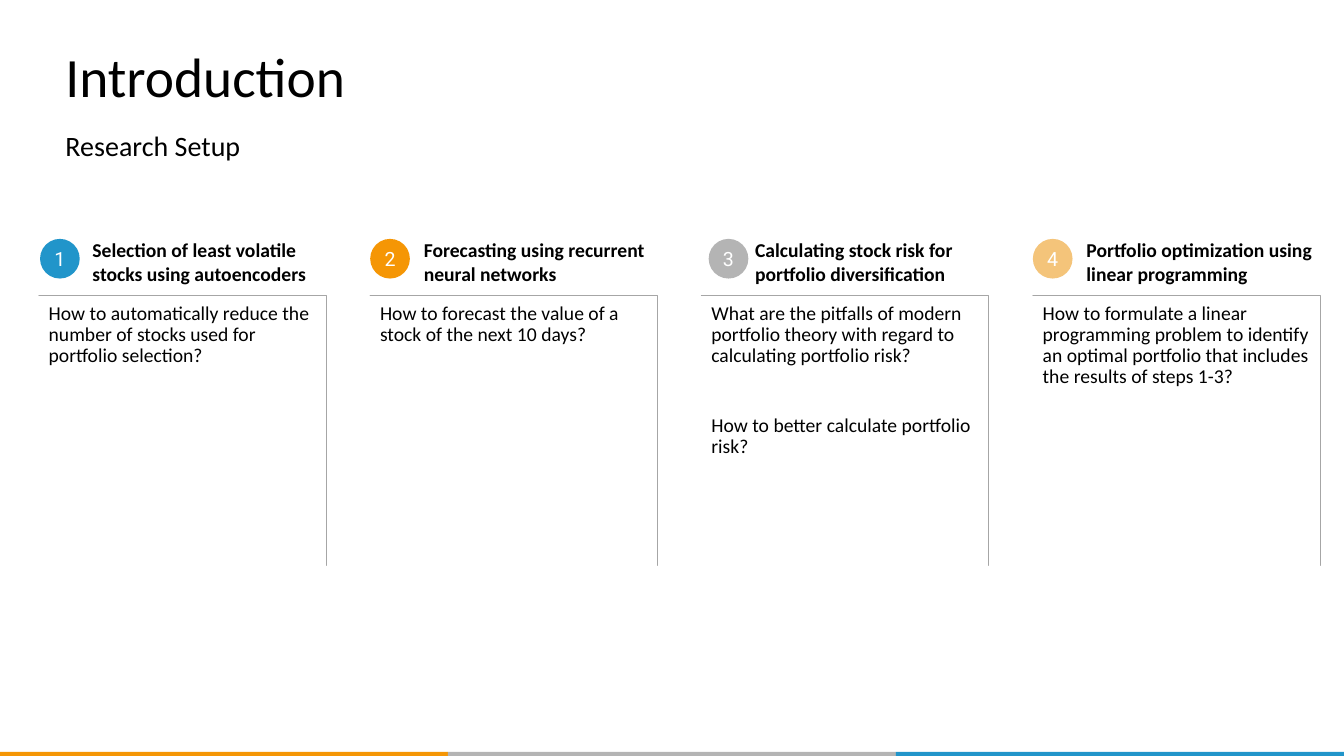
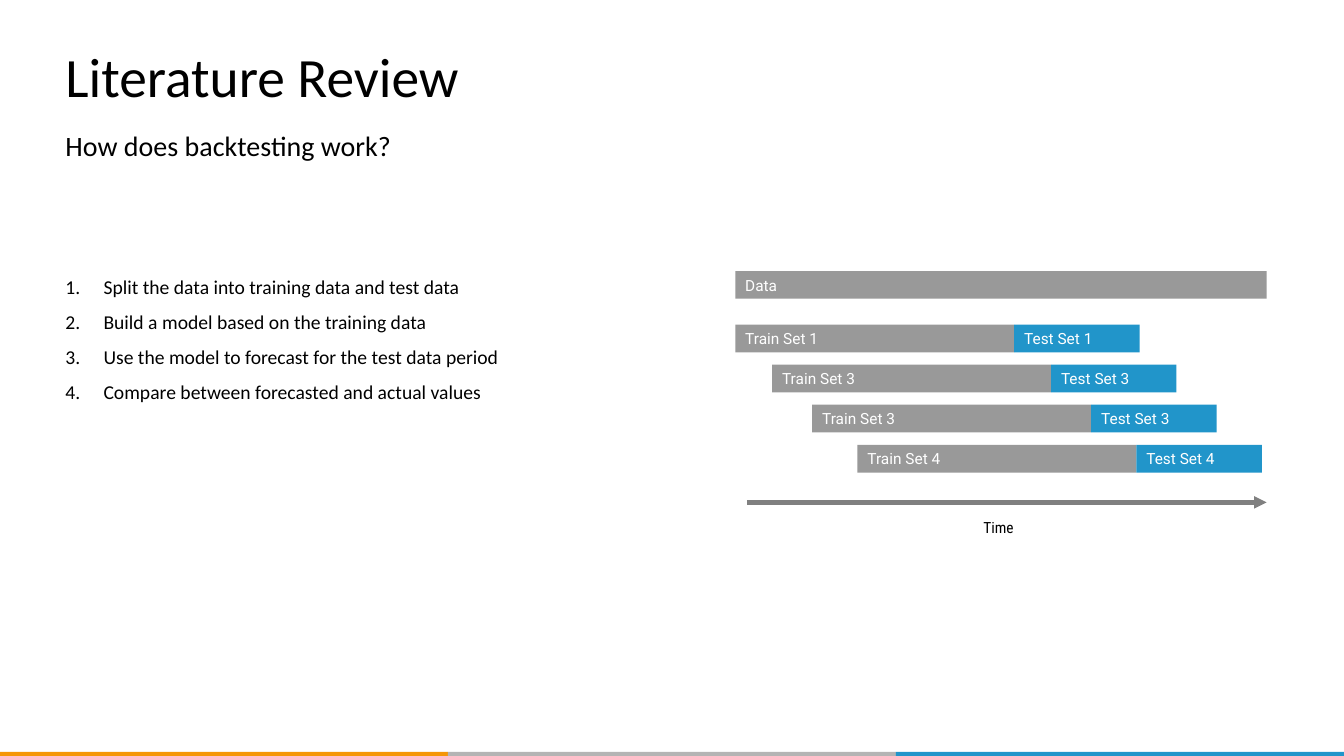
import pptx
import pptx.dml.color
import pptx.enum.shapes
import pptx.enum.text
import pptx.oxml.ns
import pptx.util
from lxml import etree

Cm, Pt = pptx.util.Cm, pptx.util.Pt
SHAPE = pptx.enum.shapes.MSO_SHAPE
ALIGN = pptx.enum.text.PP_ALIGN
ANCHOR = pptx.enum.text.MSO_ANCHOR
qn = pptx.oxml.ns.qn

PAGE_WIDTH, PAGE_HEIGHT = 33.87, 19.05
BLACK, WHITE = "000000", "FFFFFF"
BLUE, ORANGE, SILVER, SAND = "2195CA", "F59605", "B4B4B4", "F4C47A"
BAR_GREY, FRAME_GREY, ARROW_GREY = "999999", "A6A6A6", "808080"
BODY_FONT, LABEL_FONT, AXIS_FONT = "Calibri", "Roboto", "Roboto Condensed"

QUESTIONS = [
    ("Selection of least volatile stocks using autoencoders", BLUE, 0.03,
     ["How to automatically reduce the number of stocks used for portfolio selection?"]),
    ("Forecasting using recurrent neural networks", ORANGE, 0,
     ["How to forecast the value of a stock of the next 10 days?"]),
    ("Calculating stock risk for portfolio diversification", SILVER, 0.18,
     ["What are the pitfalls of modern portfolio theory with regard to calculating portfolio risk?",
      "How to better calculate portfolio risk?"]),
    ("Portfolio optimization using linear programming", SAND, 0,
     ["How to formulate a linear programming problem to identify an optimal portfolio "
      "that includes the results of steps 1-3?"]),
]
STEPS = [
    "Split the data into training data and test data",
    "Build a model based on the training data",
    "Use the model to forecast for the test data period",
    "Compare between forecasted and actual values",
]
# Shift along the time axis, train label, test label
SPLITS = [
    (0, "Train Set 1", "Test Set 1"),
    (0.93, "Train Set 3", "Test Set 3"),
    (1.94, "Train Set 3", "Test Set 3"),
    (3.08, "Train Set 4", "Test Set 4"),
]


def rgb(value):
    return pptx.dml.color.RGBColor.from_string(value)


def write(shape, lines, size, font=BODY_FONT, color=BLACK, bold=False, align=ALIGN.LEFT,
          anchor=ANCHOR.TOP, spacing=1.0, gap=0, margins=None, wrap=True):
    """Fill a shape with paragraphs; gap is the space in points between them."""
    frame = shape.text_frame
    frame.word_wrap = wrap
    frame.vertical_anchor = anchor
    if margins is not None:
        (frame.margin_left, frame.margin_top,
         frame.margin_right, frame.margin_bottom) = map(Cm, margins)
    for index, line in enumerate(lines):
        para = frame.add_paragraph() if index else frame.paragraphs[0]
        para.text = line
        para.alignment = align
        para.line_spacing = spacing
        para.space_before = Pt(gap if index else 0)
        para.font.name, para.font.size, para.font.bold = font, Pt(size), bold
        para.font.color.rgb = rgb(color)
    return frame


def add_text(page, left, top, width, height, lines, size, **style):
    box = page.shapes.add_textbox(Cm(left), Cm(top), Cm(width), Cm(height))
    return write(box, lines, size, **style)


def add_shape(page, kind, left, top, width, height, fill=None, line=None):
    shape = page.shapes.add_shape(kind, Cm(left), Cm(top), Cm(width), Cm(height))
    shape.shadow.inherit = False
    if fill:
        shape.fill.solid()
        shape.fill.fore_color.rgb = rgb(fill)
    else:
        shape.fill.background()
    if line:
        shape.line.color.rgb = rgb(line)
        shape.line.width = Pt(0.75)
    else:
        shape.line.fill.background()
    return shape


def add_page(deck, title, subtitle):
    """Add a slide with the shared heading and the three-colour foot band."""
    page = deck.slides.add_slide(deck.slide_layouts[6])
    third = PAGE_WIDTH / 3
    for index, color in enumerate((ORANGE, SILVER, BLUE)):
        add_shape(page, SHAPE.RECTANGLE, index * third, 18.95, third, 0.1, color)
    add_text(page, 1.4, 1.14, 31.09, 1.73, [title], 39.6, anchor=ANCHOR.MIDDLE, spacing=0.9)
    add_text(page, 1.4, 3.2, 31.09, 1.19, [subtitle], 20, spacing=0.9)
    return page


def add_question(page, left, top, width, number, heading, color, badge_shift, questions):
    frame = add_shape(page, SHAPE.HALF_FRAME, left, top + 1.42, width, 6.81, line=FRAME_GREY)
    frame.adjustments[0] = frame.adjustments[1] = 0
    frame.element.spPr.find(qn("a:xfrm")).set("flipH", "1")
    write(frame, questions, 14, spacing=0.9, gap=35, margins=(0.25, 0.2, 0.2, 0.2))
    add_text(page, left + 1.35, top + 0.13, width - 1.4, 1.04, [heading], 14, bold=True,
             anchor=ANCHOR.BOTTOM, margins=(0, 0, 0, 0))
    badge = add_shape(page, SHAPE.OVAL, left + badge_shift, top, 1, 1, color)
    write(badge, [str(number)], 14, font=LABEL_FONT, color=WHITE, align=ALIGN.CENTER,
          anchor=ANCHOR.MIDDLE, margins=(0, 0, 0, 0), wrap=False)


def add_steps(page, left, top, width, height):
    frame = add_text(page, left, top, width, height, STEPS, 14, spacing=0.9, gap=10)
    for para in frame.paragraphs:
        properties = para._p.get_or_add_pPr()
        properties.set("marL", str(Cm(0.96)))
        properties.set("indent", str(-Cm(0.96)))
        numbering = etree.Element(qn("a:buAutoNum"), type="arabicPeriod")
        properties.find(qn("a:defRPr")).addprevious(numbering)


def add_bar(page, left, top, width, label, color):
    bar = add_shape(page, SHAPE.RECTANGLE, left, top, width, 0.7, color)
    write(bar, [label], 11, font=LABEL_FONT, color=WHITE, anchor=ANCHOR.MIDDLE)


def add_time_arrow(page, start, end, top):
    arrow = page.shapes.add_connector(pptx.enum.shapes.MSO_CONNECTOR.STRAIGHT,
                                      Cm(start), Cm(top), Cm(end), Cm(top))
    arrow.line.color.rgb = rgb(ARROW_GREY)
    arrow.line.width = Pt(3)
    etree.SubElement(arrow.line._get_or_add_ln(), qn("a:tailEnd"), type="triangle")
    etree.SubElement(arrow.element.spPr, qn("a:effectLst"))


def add_backtest_diagram(page, left, top, width):
    train_width, test_width = 7.03, 3.16
    add_bar(page, left, top, width, "Data", BAR_GREY)
    for row, (shift, train, test) in enumerate(SPLITS):
        row_top = top + 1.35 + row * 1.01
        add_bar(page, left + shift, row_top, train_width, train, BAR_GREY)
        add_bar(page, left + shift + train_width, row_top, test_width, test, BLUE)
    add_time_arrow(page, left + 0.29, left + width, top + 5.83)
    add_text(page, left + 6, top + 6.11, 5.16, 0.74, ["Time"], 11, font=AXIS_FONT)


def build_introduction(deck):
    page = add_page(deck, "Introduction", "Research Setup")
    for index, question in enumerate(QUESTIONS):
        add_question(page, 0.98 + index * 8.35, 6.02, 7.24, index + 1, *question)


def build_literature_review(deck):
    page = add_page(deck, "Literature Review", "How does backtesting work?")
    add_steps(page, 1.4, 6.86, 15.32, 10)
    add_backtest_diagram(page, 18.53, 6.83, 13.39)


def main():
    deck = pptx.Presentation()
    deck.slide_width, deck.slide_height = Cm(PAGE_WIDTH), Cm(PAGE_HEIGHT)
    build_introduction(deck)
    build_literature_review(deck)
    deck.save("out.pptx")


if __name__ == "__main__":
    main()
